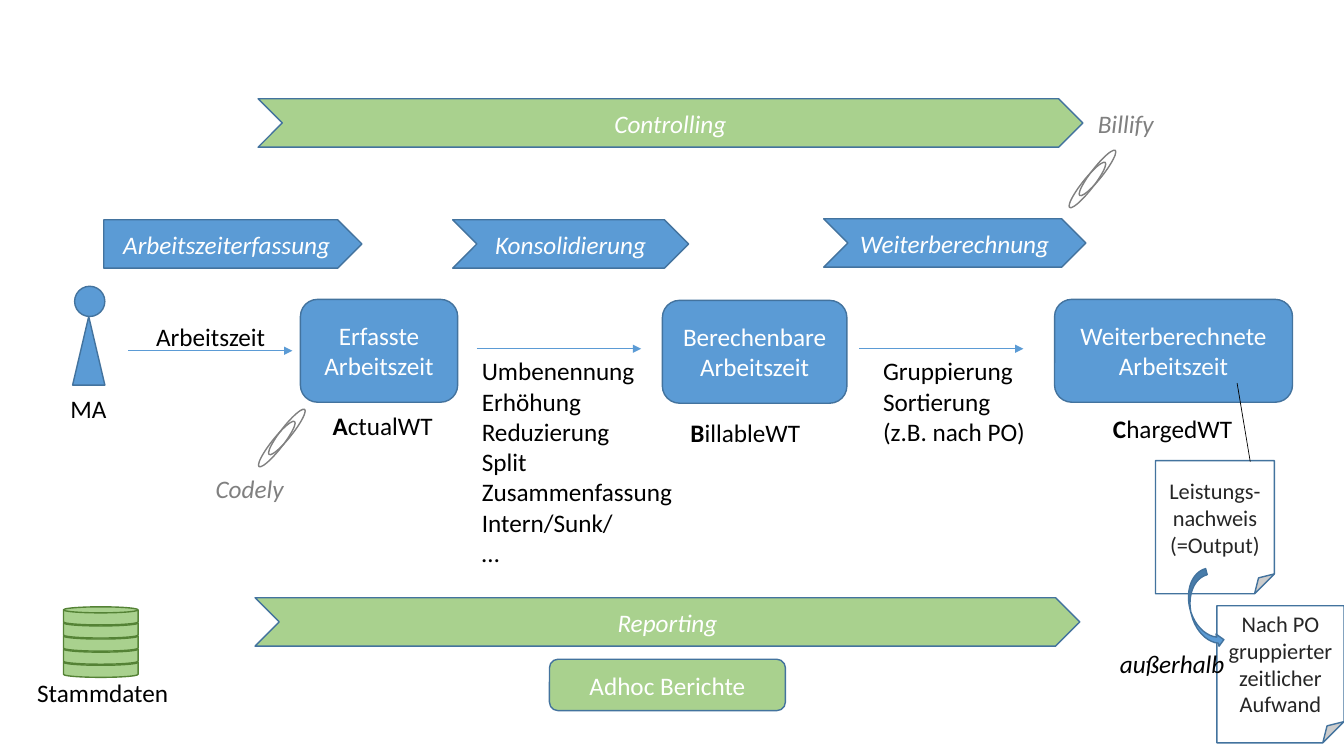
"""Build the working-time process slide, from recording to onward billing."""
import pptx
import pptx.util
import pptx.oxml
import pptx.dml.color
import pptx.enum.shapes
import pptx.enum.text

Inches = pptx.util.Inches
Pt = pptx.util.Pt
Color = pptx.dml.color.RGBColor.from_string
Kind = pptx.enum.shapes.MSO_SHAPE
Align = pptx.enum.text.PP_ALIGN
Anchor = pptx.enum.text.MSO_ANCHOR
AutoSize = pptx.enum.text.MSO_AUTO_SIZE

THEME = {
    "font": "Calibri", "body": 18, "note": 16,
    "blue": "5B9BD5", "blue_edge": "43739E",
    "green": "A9D18E", "green_edge": "548235",
    "white": "FFFFFF", "black": "000000", "gray": "808080", "ink": "262626",
}

deck = pptx.Presentation()
deck.slide_width = Inches(13.33)
deck.slide_height = Inches(7.5)
slide = deck.slides.add_slide(deck.slide_layouts[6])


def write(frame, text, color, size="body", italic=False, align=Align.LEFT):
    frame.text = text
    for paragraph in frame.paragraphs:
        paragraph.alignment = align
        for run in paragraph.runs:
            run.font.name = THEME["font"]
            run.font.size = Pt(THEME[size])
            run.font.italic = italic
            run.font.color.rgb = Color(THEME[color])


def draw(parent, kind, box, fill, edge="blue_edge", rotation=0):
    shape = parent.shapes.add_shape(kind, *map(Inches, box))
    shape.shadow.inherit = False
    shape.rotation = rotation
    shape.line.color.rgb = Color(THEME[edge])
    shape.line.width = Pt(1)
    if fill:
        shape.fill.solid()
        shape.fill.fore_color.rgb = Color(THEME[fill])
    else:
        shape.fill.background()
    return shape


draw(slide, Kind.ISOSCELES_TRIANGLE, (0.72, 3.14, 0.32, 0.68), "blue")
draw(slide, Kind.OVAL, (0.74, 2.84, 0.3, 0.3), "blue")

phases = [
    ("Arbeitszeiterfassung", Kind.PENTAGON, 1.03, 2.18, 2.56, "blue"),
    ("Konsolidierung", Kind.CHEVRON, 4.49, 2.18, 2.34, "blue"),
    ("Weiterberechnung", Kind.CHEVRON, 8.17, 2.17, 2.6, "blue"),
    ("Controlling", Kind.CHEVRON, 2.56, 0.98, 8.18, "green"),
    ("Reporting", Kind.CHEVRON, 2.53, 5.93, 8.18, "green"),
]
for text, kind, left, top, width, fill in phases:
    phase = draw(slide, kind, (left, top, width, 0.48), fill)
    write(phase.text_frame, text, "white", italic=True, align=Align.CENTER)

results = [
    ("Erfasste Arbeitszeit", (2.98, 2.97, 1.56, 1.02), "blue"),
    ("Berechenbare Arbeitszeit", (6.57, 2.98, 1.83, 1.02), "blue"),
    ("Weiterberechnete Arbeitszeit", (10.46, 2.97, 2.36, 1.02), "blue"),
    ("Adhoc Berichte", (5.45, 6.54, 2.34, 0.51), "green"),
]
for text, box, fill in results:
    result = draw(slide, Kind.ROUNDED_RECTANGLE, box, fill)
    write(result.text_frame, text, "white", align=Align.CENTER)

documents = [
    ("Leistungs-nachweis (=Output)", (11.46, 4.57, 1.18, 1.32)),
    ("Nach PO gruppierter zeitlicher Aufwand", (12.07, 6.01, 1.26, 1.36)),
]
for text, box in documents:
    document = draw(slide, Kind.FOLDED_CORNER, box, "white")
    document.text_frame.vertical_anchor = Anchor.MIDDLE
    write(document.text_frame, text, "ink", "note", align=Align.CENTER)

links = [
    (1.27, 3.48, 2.9, 3.48, "blue", True),
    (4.73, 3.46, 6.36, 3.46, "blue", True),
    (8.52, 3.46, 10.15, 3.46, "blue", True),
    (12.4, 4.58, 12.27, 3.8, "black", False),
]
for *ends, color, has_arrow in links:
    link = slide.shapes.add_connector(
        pptx.enum.shapes.MSO_CONNECTOR.STRAIGHT, *map(Inches, ends))
    link.line.color.rgb = Color(THEME[color])
    link.line.width = Pt(0.5)
    if has_arrow:
        arrowhead = pptx.oxml.parse_xml(
            '<a:tailEnd xmlns:a="http://schemas.openxmlformats.org/drawingml/2006/main"'
            ' type="triangle"/>')
        link.line._get_or_add_ln().append(arrowhead)
    no_effects = pptx.oxml.parse_xml(
        '<a:effectLst xmlns:a="http://schemas.openxmlformats.org/drawingml/2006/main"/>')
    link._element.spPr.append(no_effects)

for left, top in [(2.46, 4.23), (10.5, 1.66)]:
    paperclip = slide.shapes.add_group_shape()
    for dx, dy in [(0.1, 0), (0, 0.12)]:
        draw(paperclip, Kind.OVAL, (left + dx, top + dy, 0.57, 0.11),
             None, "gray", 128.3)

database = slide.shapes.add_group_shape()
for level in range(5):
    draw(database, Kind.FLOWCHART_MAGNETIC_DISK,
         (0.63, 6.54 - 0.13 * level, 0.74, 0.18), "green", "green_edge")

draw(slide, Kind.CURVED_RIGHT_ARROW, (11.81, 5.66, 0.25, 0.79), "blue", rotation=345.6)

steps = "Umbenennung\nErhöhung\nReduzierung\nSplit\nZusammenfassung\nIntern/Sunk/\n…"
labels = [
    ("Arbeitszeit", (1.45, 3.14, 1.29, 0.4), "black", False),
    ("MA", (0.6, 3.85, 0.56, 0.4), "black", False),
    (steps, (4.68, 3.48, 2.11, 2.22), "black", False),
    ("Gruppierung\nSortierung\n(z.B. nach PO)", (8.66, 3.48, 1.63, 1.01), "black", False),
    ("Stammdaten", (0.27, 6.67, 1.52, 0.4), "black", False),
    ("außerhalb", (11.01, 6.38, 1.25, 0.4), "black", True),
    ("Codely", (2.04, 4.65, 1.1, 0.4), "gray", True),
    ("Billify", (10.79, 1.03, 1.1, 0.4), "gray", True),
    ("ActualWT", (3.2, 4.02, 1.2, 0.4), "black", False),
    ("BillableWT", (6.75, 4.09, 1.3, 0.4), "black", False),
    ("ChargedWT", (10.94, 4.05, 1.4, 0.4), "black", False),
]
for text, box, color, italic in labels:
    label = slide.shapes.add_textbox(*map(Inches, box)).text_frame
    label.word_wrap = False
    label.auto_size = AutoSize.SHAPE_TO_FIT_TEXT
    write(label, text, color, italic=italic)
    if text.endswith("WT"):
        write(label, text[0], color)
        label.paragraphs[0].runs[0].font.bold = True
        ending = label.paragraphs[0].add_run()
        ending.text = text[1:]
        ending.font.name = THEME["font"]
        ending.font.size = Pt(THEME["body"])
        ending.font.color.rgb = Color(THEME[color])

deck.save("out.pptx")
